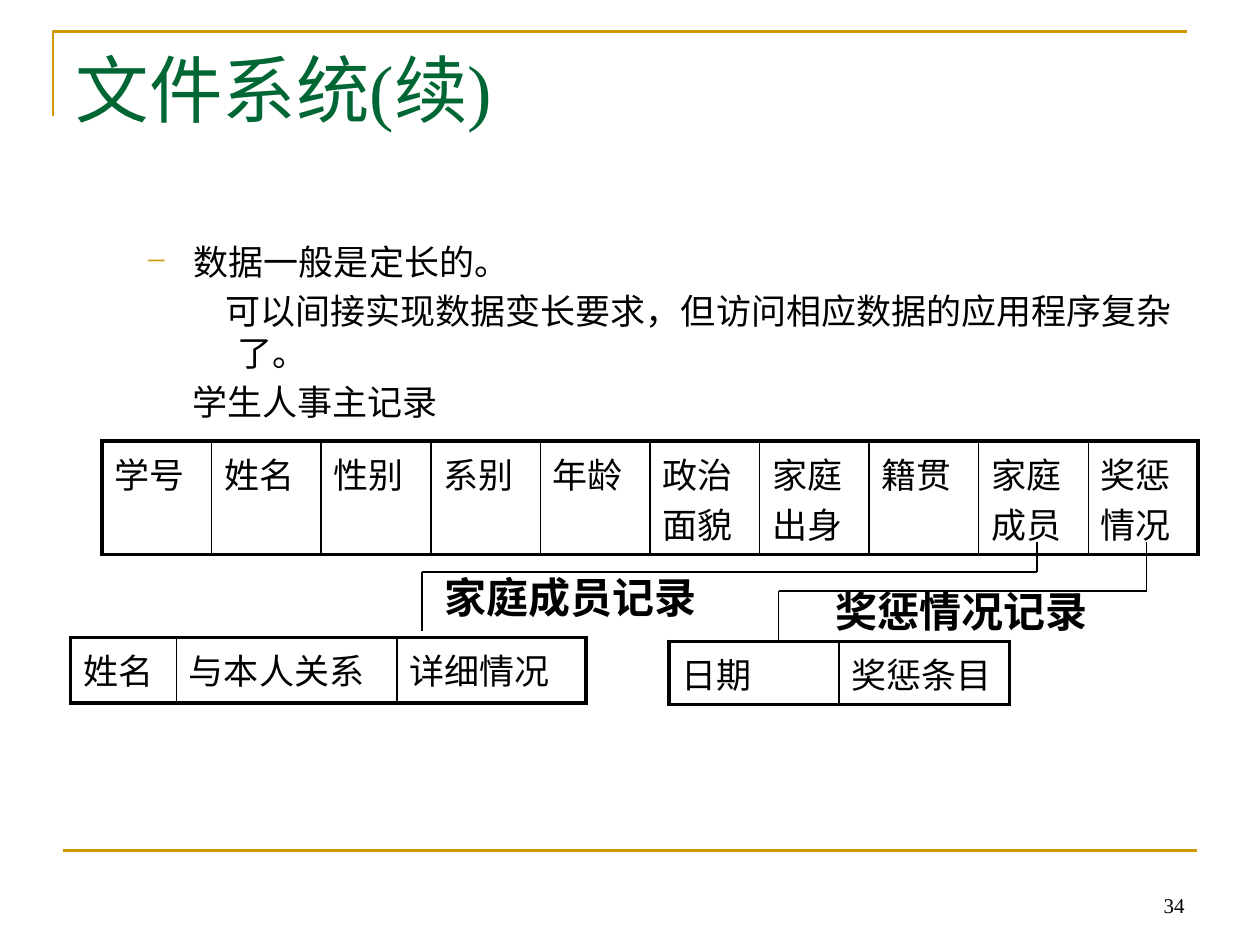
"""Builds the slide on variable-length records in a file system."""
from itertools import pairwise

from lxml import etree
from pptx import Presentation
from pptx.dml.color import RGBColor
from pptx.enum.shapes import MSO_CONNECTOR
from pptx.enum.text import MSO_ANCHOR, PP_ALIGN
from pptx.oxml import parse_xml
from pptx.oxml.ns import nsdecls, qn
from pptx.util import Inches, Pt

STRAIGHT = MSO_CONNECTOR.STRAIGHT
TOP, MIDDLE, BOTTOM = MSO_ANCHOR.TOP, MSO_ANCHOR.MIDDLE, MSO_ANCHOR.BOTTOM
LEFT, CENTER, RIGHT = PP_ALIGN.LEFT, PP_ALIGN.CENTER, PP_ALIGN.RIGHT
GOLD, GREEN, BLACK = "CC9900", "006633", "000000"


def color(value):
    return RGBColor.from_string(value)


def add_text(para, text, size, font, fill=BLACK, bold=False):
    span = para.add_run()
    span.text = text
    span.font.size = Pt(size)
    span.font.name = font
    span.font.bold = bold
    span.font.color.rgb = color(fill)


deck = Presentation()
deck.slide_width, deck.slide_height = Inches(10), Inches(7.5)
page = deck.slides.add_slide(deck.slide_layouts[5])

builder = page.shapes.build_freeform(Inches(0.42), Inches(0.92))
builder.add_line_segments(
    [(Inches(0.42), Inches(0.25)), (Inches(9.42), Inches(0.25))], close=False)
corner = builder.convert_to_shape()
corner.shadow.inherit = False
corner.fill.background()
corner.line.color.rgb = color(GOLD)
corner.line.width = Pt(1.5)

title = page.shapes.title
title.left, title.top = Inches(0.5), Inches(0.3)
title.width, title.height = Inches(9), Inches(1.25)
title.text_frame.vertical_anchor = TOP
title.text_frame.paragraphs[0].alignment = LEFT
add_text(title.text_frame.paragraphs[0], "文件系统(续)", 42, "Times New Roman", GREEN)

body = page.shapes.add_textbox(Inches(1.06), Inches(1.86), Inches(8.56), Inches(4.5))
body.text_frame.word_wrap = True
points = [
    ("数据一般是定长的。", 0.38, -0.38),
    ("可以间接实现数据变长要求，但访问相应数据的应用程序复杂了。", 0.73, -0.1),
    ("学生人事主记录", 0.73, -0.36),
]
for index, (text, margin, indent) in enumerate(points):
    para = body.text_frame.paragraphs[0] if index == 0 else body.text_frame.add_paragraph()
    para.space_before = Pt(4 if index else 0)
    properties = para._p.get_or_add_pPr()
    properties.set("marL", str(Inches(margin)))
    properties.set("indent", str(Inches(indent)))
    if index == 0:
        bullet_color = etree.SubElement(properties, qn("a:buClr"))
        etree.SubElement(bullet_color, qn("a:srgbClr"), val=GOLD)
        etree.SubElement(properties, qn("a:buSzPct"), val="65000")
        etree.SubElement(properties, qn("a:buFont"), typeface="Arial")
        etree.SubElement(properties, qn("a:buChar"), char="－")
    add_text(para, text, 20, "Arial")

main_fields = ["学号", "姓名", "性别", "系别", "年龄", "政治面貌",
               "家庭出身", "籍贯", "家庭成员", "奖惩情况"]
records = [
    (0.81, 3.5, 0.9, main_fields, [0.87] * 10),
    (0.56, 5.06, 0.52, ["姓名", "与本人关系", "详细情况"], [0.84, 1.75, 1.5]),
    (5.31, 5.09, 0.5, ["日期", "奖惩条目"], [1.35, 1.35]),
]
for left, top, height, fields, widths in records:
    frame = page.shapes.add_table(1, len(fields), Inches(left), Inches(top),
                                  Inches(sum(widths)), Inches(height))
    table = frame.table
    table.first_row = table.horz_banding = False
    table.rows[0].height = Inches(height)
    last = len(fields) - 1
    for index, (field, width) in enumerate(zip(fields, widths)):
        table.columns[index].width = Inches(width)
        cell = table.cell(0, index)
        add_text(cell.text_frame.paragraphs[0], field, 20, "Arial")
        borders = {"L": 1 if index else 2.25, "R": 1 if index < last else 2.25,
                   "T": 2.25, "B": 2.25}
        for side, weight in borders.items():
            cell._tc.get_or_add_tcPr().append(parse_xml(
                f'<a:ln{side} {nsdecls("a")} w="{Pt(weight)}"><a:solidFill>'
                f'<a:srgbClr val="{BLACK}"/></a:solidFill></a:ln{side}>'))
        cell.fill.background()

routes = [
    ([(0.5, 6.75), (9.5, 6.75)], GOLD, 1.5),
    ([(8.23, 4.3), (8.23, 4.54), (3.35, 4.54), (3.35, 5.01)], BLACK, 0.75),
    ([(9.1, 4.3), (9.1, 4.69), (6.18, 4.69), (6.18, 5.09)], BLACK, 0.75),
]
for corners, fill, weight in routes:
    for start, end in pairwise(corners):
        line = page.shapes.add_connector(STRAIGHT, *map(Inches, start + end))
        line.line.color.rgb = color(fill)
        line.line.width = Pt(weight)
        etree.SubElement(line._element.spPr, qn("a:effectLst"))

labels = [
    ("家庭成员记录", 3.5, 4.54, 2.05, 0.39, 24, True, MIDDLE, CENTER, 0),
    ("奖惩情况记录", 6.57, 4.69, 2.13, 0.32, 24, True, MIDDLE, CENTER, 0),
    ("34", 7.17, 6.83, 2.33, 0.5, 12, False, BOTTOM, RIGHT, 0.1),
]
for text, left, top, width, height, size, bold, anchor, alignment, margin in labels:
    box = page.shapes.add_textbox(Inches(left), Inches(top), Inches(width), Inches(height))
    box.text_frame.word_wrap = not bold
    box.text_frame.vertical_anchor = anchor
    box.text_frame.margin_left = box.text_frame.margin_right = Inches(margin)
    box.text_frame.margin_top = box.text_frame.margin_bottom = Inches(margin / 2)
    para = box.text_frame.paragraphs[0]
    para.alignment = alignment
    add_text(para, text, size, "Times New Roman", bold=bold)

deck.save("out.pptx")
